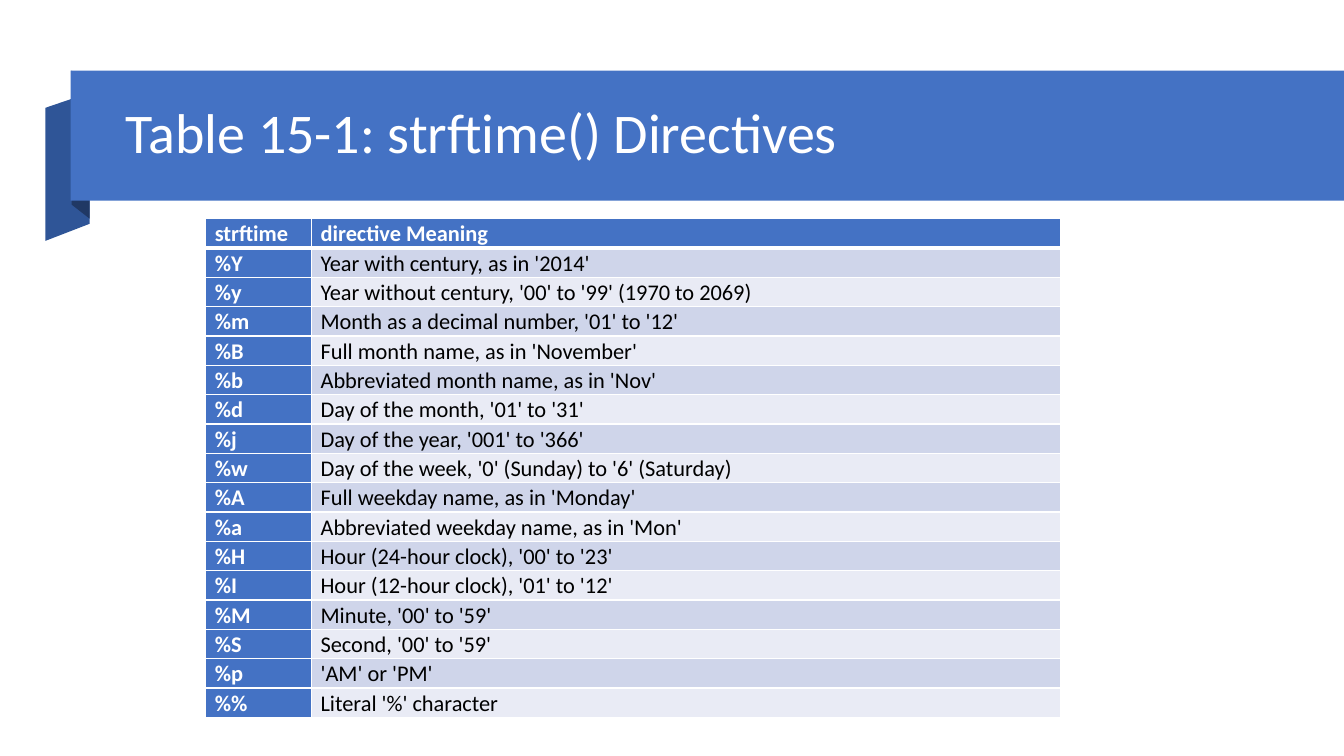
from dataclasses import dataclass

from lxml import etree
from pptx import Presentation
from pptx.dml.color import RGBColor
from pptx.enum.shapes import MSO_SHAPE
from pptx.enum.text import MSO_ANCHOR
from pptx.oxml.ns import qn
from pptx.util import Inches, Pt

RECTANGLE = MSO_SHAPE.RECTANGLE
MIDDLE = MSO_ANCHOR.MIDDLE


@dataclass(frozen=True)
class Theme:
    font: str = "Calibri"
    title_size: float = 40
    table_size: float = 16
    blue: str = "4472C4"
    ribbon: str = "2F5597"
    fold: str = "203864"
    band_dark: str = "CFD5EA"
    band_light: str = "E9EBF5"
    white: str = "FFFFFF"
    black: str = "000000"
    rule: float = 1
    header_rule: float = 3


THEME = Theme()

DIRECTIVES = [
    ("strftime", "directive Meaning"),
    ("%Y", "Year with century, as in '2014'"),
    ("%y", "Year without century, '00' to '99' (1970 to 2069)"),
    ("%m", "Month as a decimal number, '01' to '12'"),
    ("%B", "Full month name, as in 'November'"),
    ("%b", "Abbreviated month name, as in 'Nov'"),
    ("%d", "Day of the month, '01' to '31'"),
    ("%j", "Day of the year, '001' to '366'"),
    ("%w", "Day of the week, '0' (Sunday) to '6' (Saturday)"),
    ("%A", "Full weekday name, as in 'Monday'"),
    ("%a", "Abbreviated weekday name, as in 'Mon'"),
    ("%H", "Hour (24-hour clock), '00' to '23'"),
    ("%I", "Hour (12-hour clock), '01' to '12'"),
    ("%M", "Minute, '00' to '59'"),
    ("%S", "Second, '00' to '59'"),
    ("%p", "'AM' or 'PM'"),
    ("%%", "Literal '%' character"),
]


def paint(shape, color):
    shape.shadow.inherit = False
    shape.fill.solid()
    shape.fill.fore_color.rgb = RGBColor.from_string(color)
    shape.line.fill.background()


def style_text(paragraph, size, color, bold=False):
    paragraph.font.name = THEME.font
    paragraph.font.size = Pt(size)
    paragraph.font.bold = bold
    paragraph.font.color.rgb = RGBColor.from_string(color)


def add_ribbon_piece(slide, left, top, corners, color):
    points = [(Inches(left + x), Inches(top + y)) for x, y in corners]
    outline = slide.shapes.build_freeform(*points[0])
    outline.add_line_segments(points[1:], close=True)
    paint(outline.convert_to_shape(), color)


def add_banner(slide, left, top, width, height, title):
    add_ribbon_piece(slide, left, top,
                     [(0.19, 1.52), (-0.25, 1.69), (-0.25, 0.37), (0.19, 0.22)],
                     THEME.ribbon)
    add_ribbon_piece(slide, left, top,
                     [(0.19, 1.47), (0.01, 1.33), (0.01, 0), (0.19, 0.15)],
                     THEME.fold)
    band = slide.shapes.add_shape(RECTANGLE, Inches(left), Inches(top),
                                  Inches(width), Inches(height))
    paint(band, THEME.blue)
    heading = slide.shapes.add_textbox(Inches(left + 0.45), Inches(top + 0.16),
                                       Inches(width - 1.36), Inches(height - 0.33))
    frame = heading.text_frame
    frame.word_wrap = True
    frame.vertical_anchor = MIDDLE
    paragraph = frame.paragraphs[0]
    paragraph.text = title
    paragraph.line_spacing = 0.9
    style_text(paragraph, THEME.title_size, THEME.white)


def add_borders(cell, row):
    widths = {"lnL": THEME.rule, "lnR": THEME.rule,
              "lnT": THEME.header_rule if row == 1 else THEME.rule,
              "lnB": THEME.header_rule if row == 0 else THEME.rule}
    properties = cell._tc.get_or_add_tcPr()
    for side, width in widths.items():
        border = etree.SubElement(properties, qn(f"a:{side}"), w=str(Pt(width)))
        fill = etree.SubElement(border, qn("a:solidFill"))
        etree.SubElement(fill, qn("a:srgbClr"), val=THEME.white)


def fill_cell(cell, text, row, column):
    heading = row == 0 or column == 0
    band = THEME.band_dark if row % 2 else THEME.band_light
    add_borders(cell, row)
    cell.fill.solid()
    cell.fill.fore_color.rgb = RGBColor.from_string(THEME.blue if heading else band)
    cell.margin_left = cell.margin_right = Inches(0.09)
    cell.margin_top = cell.margin_bottom = 0
    paragraph = cell.text_frame.paragraphs[0]
    paragraph.text = text
    paragraph.line_spacing = 1.07
    paragraph.space_after = Pt(8)
    style_text(paragraph, THEME.table_size,
               THEME.white if heading else THEME.black, heading)


def add_directives(slide, left, top, width, height, rows):
    table = slide.shapes.add_table(len(rows), 2, Inches(left), Inches(top),
                                   Inches(width), Inches(height)).table
    code_width = 1.05
    table.columns[0].width = Inches(code_width)
    table.columns[1].width = Inches(width - code_width)
    for row, texts in enumerate(rows):
        table.rows[row].height = Inches(height / len(rows))
        for column, text in enumerate(texts):
            fill_cell(table.cell(row, column), text, row, column)


def main():
    presentation = Presentation()
    presentation.slide_width = Inches(13.33)
    presentation.slide_height = Inches(7.5)
    slide = presentation.slides.add_slide(presentation.slide_layouts[6])
    add_banner(slide, 0.7, 0.7, 12.63, 1.29, "Table 15-1: strftime() Directives")
    add_directives(slide, 2.04, 2.17, 8.48, 4.95, DIRECTIVES)
    presentation.save("out.pptx")


if __name__ == "__main__":
    main()
